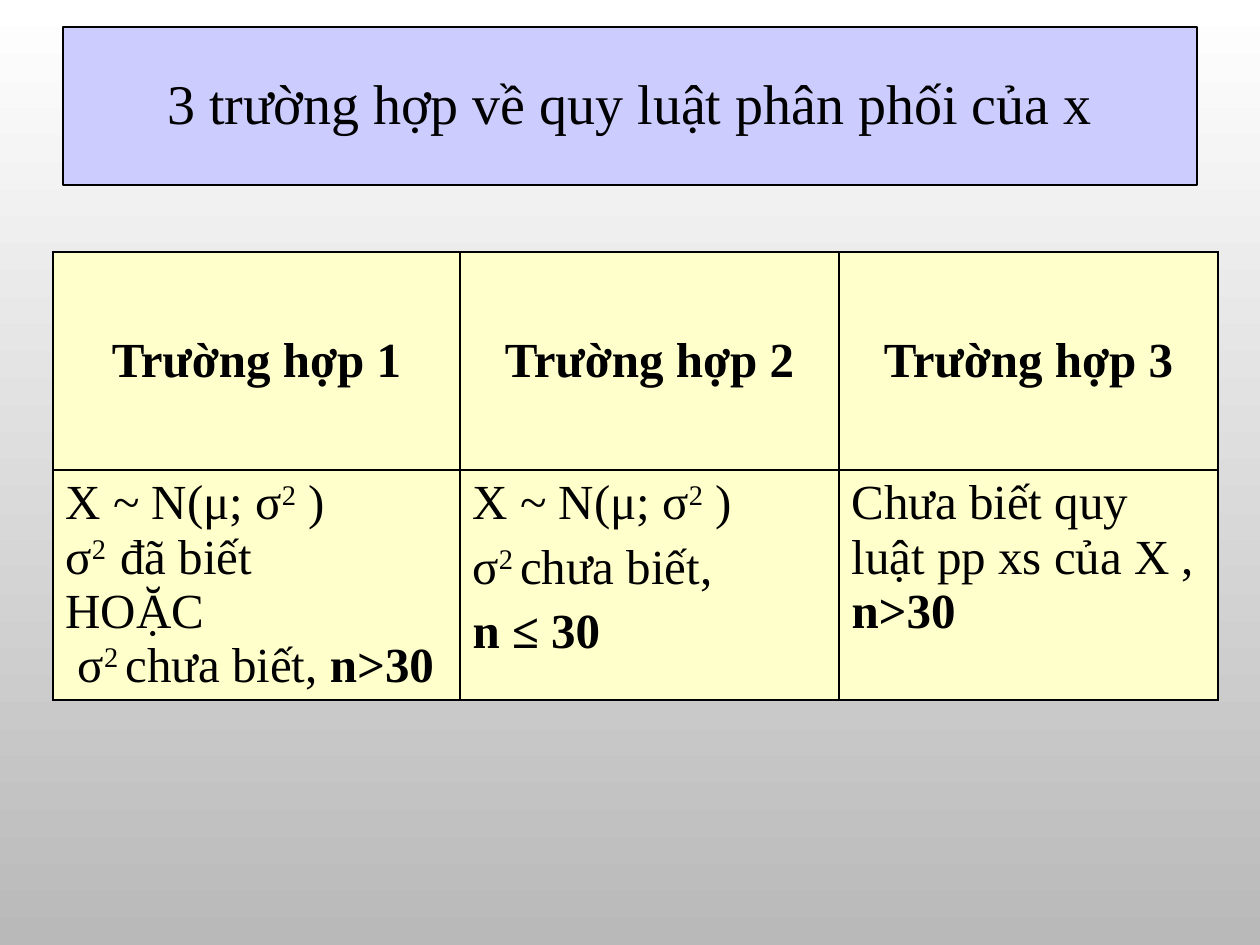
from lxml import etree
from pptx import Presentation, util as u
from pptx.dml.color import RGBColor
from pptx.enum import shapes, text
from pptx.oxml.ns import qn

PX = 914400 / 126
COLORS = {"ink": "000000", "title": "CCCCFF", "cell": "FFFFCC",
          "bg_top": "FFFFFF", "bg_bottom": "B9B9B9"}


def px(n):
    return u.Emu(round(n * PX))


def rgb(name):
    return RGBColor.from_string(COLORS[name])


def write(tf, paragraphs, size=28, font="Times New Roman", color="ink",
          bold=False, align=text.PP_ALIGN.LEFT, gap=0, spacing=None):
    tf.word_wrap = True
    for i, runs in enumerate(paragraphs):
        p = tf.add_paragraph() if i else tf.paragraphs[0]
        p.alignment = align
        if i and gap:
            p.space_before = u.Pt(gap)
        if spacing:
            p.line_spacing = spacing
        for words, style in runs:
            r = p.add_run()
            r.text = words
            r.font.size = u.Pt(size)
            r.font.name = font
            r.font.bold = bold or style == "bold"
            r.font.color.rgb = rgb(color)
            if style == "sup":
                r._r.get_or_add_rPr().set("baseline", "30000")


class Deck:
    def __init__(self, width, height):
        self.prs = Presentation()
        self.prs.slide_width, self.prs.slide_height = px(width), px(height)
        self.s = self.prs.slides.add_slide(self.prs.slide_layouts[6])

    def background(self, top, bottom):
        fill = self.s.background.fill
        fill.gradient()
        fill.gradient_angle = 270
        for stop, name in zip(fill.gradient_stops, (top, bottom)):
            stop.color.rgb = rgb(name)

    def box(self, x, y, w, h, words, fill, **fmt):
        sp = self.s.shapes.add_shape(shapes.MSO_SHAPE.RECTANGLE,
                                     px(x), px(y), px(w), px(h))
        sp.shadow.inherit = False
        sp.fill.solid()
        sp.fill.fore_color.rgb = rgb(fill)
        sp.line.color.rgb = rgb("ink")
        sp.line.width = u.Pt(0.75)
        sp.text_frame.vertical_anchor = text.MSO_ANCHOR.MIDDLE
        write(sp.text_frame, [[(words, "")]], **fmt)

    def borders(self, cell, width=1):
        tcPr = cell._tc.get_or_add_tcPr()
        for side in ("lnL", "lnR", "lnT", "lnB"):
            ln = etree.SubElement(tcPr, qn(f"a:{side}"), w=str(u.Pt(width)))
            solid = etree.SubElement(ln, qn("a:solidFill"))
            etree.SubElement(solid, qn("a:srgbClr"), val=COLORS["ink"])

    def table(self, x, y, widths, heights, rows, fill):
        tbl = self.s.shapes.add_table(len(heights), len(widths), px(x), px(y),
                                      px(sum(widths)), px(sum(heights))).table
        tbl.first_row = tbl.horz_banding = False
        for col, w in zip(tbl.columns, widths):
            col.width = px(w)
        for row, h in zip(tbl.rows, heights):
            row.height = px(h)
        for i, cells in enumerate(rows):
            for j, (paragraphs, fmt) in enumerate(cells):
                cell = tbl.cell(i, j)
                self.borders(cell)
                cell.fill.solid()
                cell.fill.fore_color.rgb = rgb(fill)
                if i == 0:
                    cell.vertical_anchor = text.MSO_ANCHOR.MIDDLE
                write(cell.text_frame, paragraphs, **fmt)


def main():
    center = text.PP_ALIGN.CENTER
    headers = [([[(f"Trường hợp {n}", "")]], {"bold": True, "align": center})
               for n in (1, 2, 3)]
    normal = [("X ~ N(μ; σ", ""), ("2", "sup"), (" )", "")]
    known_or_large = [
        normal,
        [("σ", ""), ("2  ", "sup"), ("đã biết", "")],
        [("HOẶC", "")],
        [(" σ", ""), ("2 ", "sup"), ("chưa biết, ", ""), ("n>30", "bold")],
    ]
    unknown_small = [
        normal,
        [("σ", ""), ("2 ", "sup"), ("chưa biết,", "")],
        [("n ≤ 30", "bold")],
    ]
    any_law = [[("Chưa biết quy luật pp xs của X , ", ""), ("n>30", "bold")]]
    cases = [(known_or_large, {}), (unknown_small, {"gap": 5.6}), (any_law, {})]

    deck = Deck(1260, 945)
    deck.background("bg_top", "bg_bottom")
    deck.box(63, 27, 1134, 158, "3 trường hợp về quy luật phân phối của x",
             "title", size=32, align=center, spacing=0.9)
    deck.table(53, 252, [407, 379, 379], [218, 230], [headers, cases], "cell")
    deck.prs.save("out.pptx")


if __name__ == "__main__":
    main()
